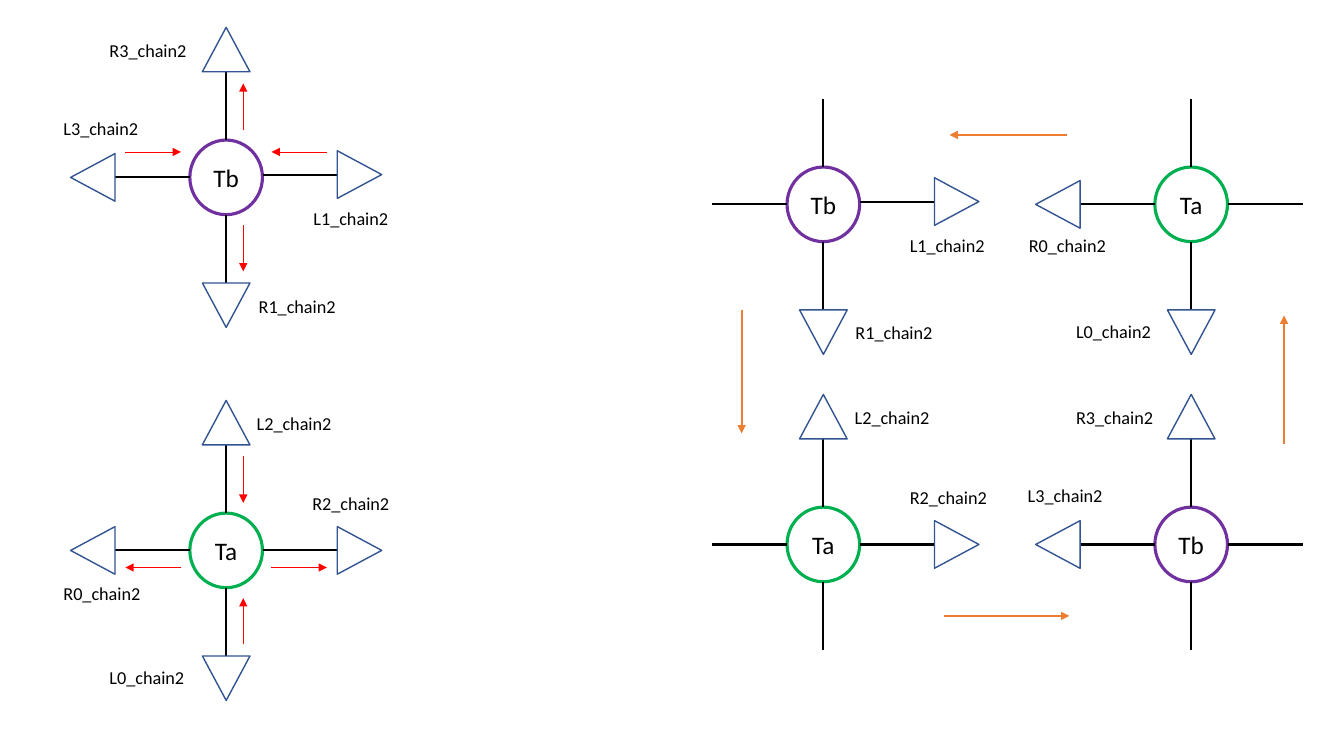
from lxml import etree
from pptx import Presentation
from pptx.dml.color import RGBColor
from pptx.enum import shapes, text
from pptx.oxml import ns
from pptx.util import Cm, Pt

BLACK = RGBColor(0x00, 0x00, 0x00)
PURPLE = RGBColor(0x70, 0x30, 0xA0)
GREEN = RGBColor(0x00, 0xB0, 0x50)
BLUE = RGBColor(0x32, 0x54, 0x91)
ORANGE = RGBColor(0xED, 0x7D, 0x31)
RED = RGBColor(0xFF, 0x00, 0x00)

FONT = "Calibri"
NODE_COLORS = {"Ta": GREEN, "Tb": PURPLE}
NODE_WIDTH, NODE_HEIGHT = 1.83, 1.88
PORT_WIDTH, PORT_HEIGHT = 1.2, 1.12
LABEL_WIDTH, LABEL_HEIGHT = 2.51, 0.81

# direction: (x step, y step, rotation)
DIRECTIONS = {"N": (0, -1, 0), "E": (1, 0, 90), "S": (0, 1, 180), "W": (-1, 0, 270)}
ARM_RANGE = {"x": (0.92, 2.81), "y": (0.94, 2.66)}
FLOW_RANGE = {"x": (1.14, 2.54), "y": (1.2, 2.37)}
PORT_DISTANCE = {"x": 3.36, "y": 3.22}
EAST_SHIFT = -0.07
FLOW_SIDE = 0.43
TB_FLOW_SIDE = -0.64

LOOP_NODES = [
    ("Tb", 20.75, 5.15, EAST_SHIFT, {"E": ("L1_chain2", 22.68, 5.79),
                                     "S": ("R1_chain2", 21.31, 7.98)}),
    ("Ta", 30.02, 5.15, 0, {"W": ("R0_chain2", 25.68, 5.79),
                            "S": ("L0_chain2", 26.87, 7.95)}),
    ("Ta", 20.75, 13.72, 0, {"N": ("L2_chain2", 21.29, 10.11),
                             "E": ("R2_chain2", 22.68, 12.12)}),
    ("Tb", 30.02, 13.72, 0, {"W": ("L3_chain2", 25.65, 12.09),
                             "N": ("R3_chain2", 26.87, 10.11)}),
]
SINGLE_NODES = [
    ("Tb", 5.7, 4.47, EAST_SHIFT, {"E": ("L1_chain2", 7.65, 5.11),
                                   "S": ("R1_chain2", 6.27, 7.32),
                                   "W": ("L3_chain2", 1.35, 2.84),
                                   "N": ("R3_chain2", 2.51, 0.86)}),
    ("Ta", 5.7, 13.87, 0, {"N": ("L2_chain2", 6.22, 10.26),
                           "E": ("R2_chain2", 7.62, 12.27),
                           "W": ("R0_chain2", 1.35, 14.55),
                           "S": ("L0_chain2", 2.51, 16.66)}),
]
INWARD = {"Tb": "EW", "Ta": "NS"}
LOOP_ARROWS = [
    (26.9, 3.4, 23.93, 3.4),
    (18.69, 7.8, 18.69, 10.92),
    (23.8, 15.52, 26.95, 15.52),
    (32.36, 11.2, 32.36, 7.95),
]


def add_line(page, ends, color, width, arrow=False):
    line = page.shapes.add_connector(
        shapes.MSO_CONNECTOR.STRAIGHT, *[Cm(value) for value in ends])
    line.line.color.rgb = color
    line.line.width = Pt(width)
    if arrow:
        outline = line.line._get_or_add_ln()
        etree.SubElement(outline, ns.qn("a:tailEnd"), type="triangle")
    etree.SubElement(line._element.spPr, ns.qn("a:effectLst"))


def add_outline(page, kind, center, size, color, width):
    x, y = center
    wide, high = size
    shape = page.shapes.add_shape(
        kind, Cm(x - wide / 2), Cm(y - high / 2), Cm(wide), Cm(high))
    shape.shadow.inherit = False
    shape.fill.background()
    shape.line.color.rgb = color
    shape.line.width = Pt(width)
    return shape


def write(shape, words, size):
    para = shape.text_frame.paragraphs[0]
    para.text = words
    para.font.name = FONT
    para.font.size = Pt(size)
    para.font.color.rgb = BLACK
    return para


def add_label(page, words, left, top):
    box = page.shapes.add_textbox(
        Cm(left), Cm(top), Cm(LABEL_WIDTH), Cm(LABEL_HEIGHT))
    box.text_frame.word_wrap = False
    write(box, words, 13)


def along(center, direction, near, far, side):
    x, y = center
    step_x, step_y, _ = DIRECTIONS[direction]
    if step_x:
        return x + step_x * near, y + side, x + step_x * far, y + side
    return x + side, y + step_y * near, x + side, y + step_y * far


def add_node(page, name, x, y, east_shift, ports):
    circle = add_outline(page, shapes.MSO_SHAPE.OVAL, (x, y),
                         (NODE_WIDTH, NODE_HEIGHT), NODE_COLORS[name], 2.25)
    circle.text_frame.vertical_anchor = text.MSO_ANCHOR.MIDDLE
    write(circle, name, 18).alignment = text.PP_ALIGN.CENTER
    for direction, (step_x, step_y, rotation) in DIRECTIONS.items():
        axis = "x" if step_x else "y"
        shift = east_shift if direction == "E" else 0
        add_line(page, along((x, y), direction, *ARM_RANGE[axis], shift), BLACK, 1.5)
        if direction in ports:
            distance = PORT_DISTANCE[axis]
            center = (x + step_x * distance, y + step_y * distance + shift)
            port = add_outline(page, shapes.MSO_SHAPE.ISOSCELES_TRIANGLE, center,
                               (PORT_WIDTH, PORT_HEIGHT), BLUE, 1)
            port.rotation = rotation
            add_label(page, *ports[direction])


def add_flows(page, name, x, y):
    for direction, (step_x, _, _) in DIRECTIONS.items():
        near, far = FLOW_RANGE["x" if step_x else "y"]
        if direction in INWARD[name]:
            near, far = far, near
        side = TB_FLOW_SIDE if step_x and name == "Tb" else FLOW_SIDE
        add_line(page, along((x, y), direction, near, far, side), RED, 0.5, True)


def main():
    deck = Presentation()
    deck.slide_width = Cm(33.87)
    deck.slide_height = Cm(19.05)
    page = deck.slides.add_slide(deck.slide_layouts[6])
    for node in LOOP_NODES + SINGLE_NODES:
        add_node(page, *node)
    for ends in LOOP_ARROWS:
        add_line(page, ends, ORANGE, 1.5, True)
    for name, x, y, _, _ in SINGLE_NODES:
        add_flows(page, name, x, y)
    deck.save("out.pptx")


main()
